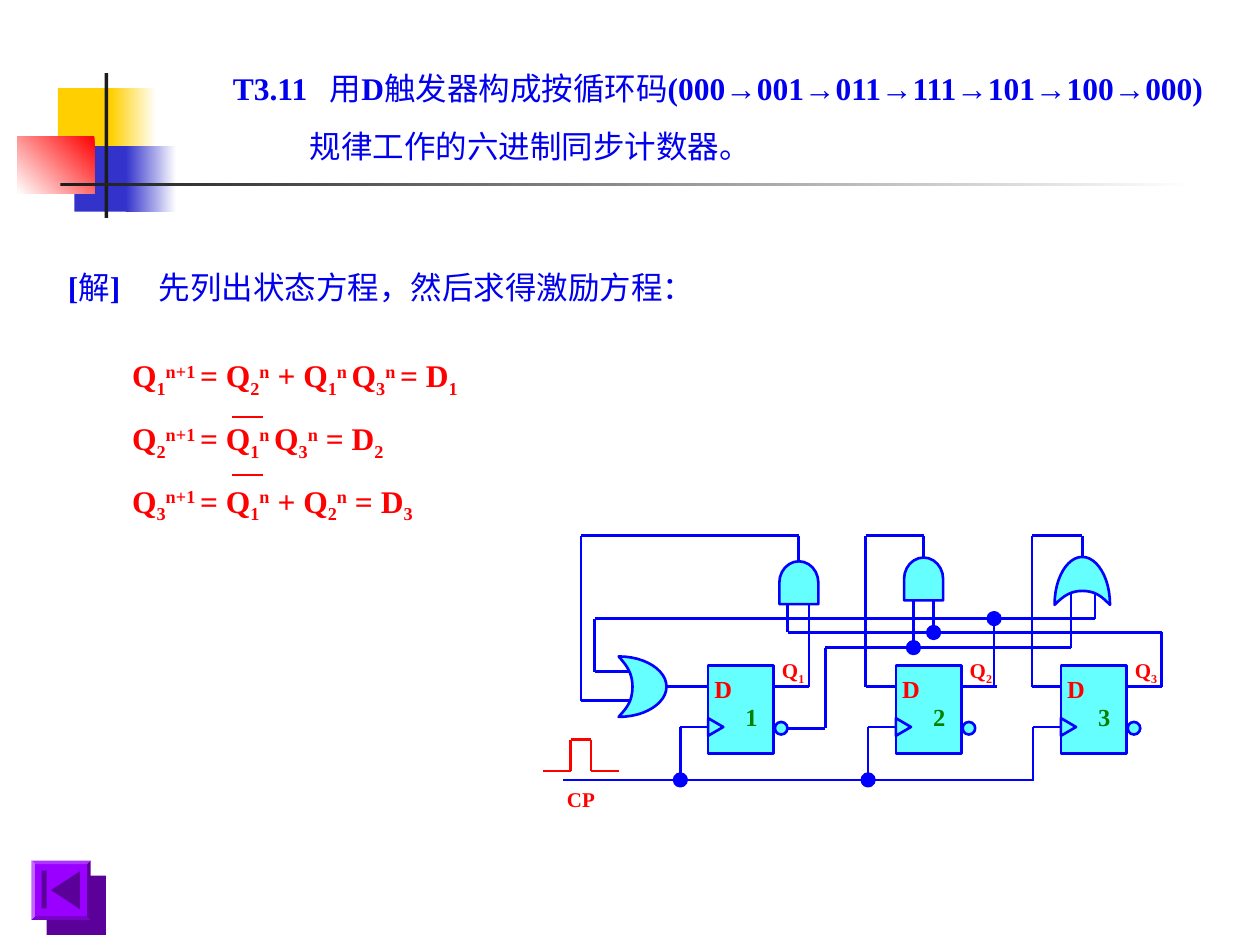
from itertools import pairwise

from lxml import etree
from pptx import Presentation
from pptx.dml.color import RGBColor
from pptx.enum.shapes import MSO_CONNECTOR, MSO_SHAPE as SHAPE
from pptx.enum.text import PP_ALIGN as ALIGN
from pptx.oxml.ns import qn
from pptx.util import Inches, Pt

COLORS = {
    "yellow": "FFCF01", "indigo": "3333CC", "red": "FF0000", "black": "1C1C1C",
    "white": "FFFFFF", "text": "0000EE", "wire": "0000FF", "gate": "66FFFF",
    "number": "008000", "button": "9900FF", "button_dark": "5B0098",
}
FONT = "Times New Roman"
BASELINES = {"_": "-25000", "^": "30000"}
EQUATIONS = [
    "Q|_1|^n+1 |= Q|_2|^n| + Q|_1|^n |Q|_3|^n |= D|_1",
    "Q|_2|^n+1 |= Q|_1|^n |Q|_3|^n| = D|_2",
    "Q|_3|^n+1 |= Q|_1|^n| + Q|_2|^n| = D|_3",
]
# Outline of an OR gate pointing right, as Bezier curves in a unit box
OR_CURVES = [
    [(0, 1), (0.13, 0.88), (0.29, 0.77), (0.29, 0.5)],
    [(0.29, 0.5), (0.29, 0.25), (0.13, 0.12), (0, 0)],
    [(0, 0), (0.56, 0), (1, 0.23), (1, 0.5)],
    [(1, 0.5), (1, 0.77), (0.56, 1), (0, 1)],
]


def rgb(name):
    return RGBColor.from_string(COLORS[name])


def paint(shape, fill, line=None):
    shape.shadow.inherit = False
    shape.fill.solid()
    shape.fill.fore_color.rgb = rgb(fill)
    if line:
        shape.line.color.rgb = rgb(line)
        shape.line.width = Pt(1.5)
    else:
        shape.line.fill.background()


def add_shape(slide, kind, x, y, width, height, fill, line=None, rotation=0):
    shape = slide.shapes.add_shape(
        kind, Inches(x), Inches(y), Inches(width), Inches(height))
    shape.rotation = rotation
    paint(shape, fill, line)
    return shape


def add_fade(slide, x, y, width, height, color, angle=0):
    shape = add_shape(slide, SHAPE.RECTANGLE, x, y, width, height, color)
    shape.fill.gradient()
    shape.fill.gradient_angle = angle
    for stop, name in zip(shape.fill.gradient_stops, (color, "white")):
        stop.color.rgb = rgb(name)


def add_route(slide, x, y, points, color="wire", width=1.5):
    """Join the points, given relative to (x, y), with straight lines."""
    for (x1, y1), (x2, y2) in pairwise(points):
        line = slide.shapes.add_connector(
            MSO_CONNECTOR.STRAIGHT, Inches(x + x1), Inches(y + y1),
            Inches(x + x2), Inches(y + y2))
        line.line.color.rgb = rgb(color)
        line.line.width = Pt(width)
        etree.SubElement(line._element.spPr, qn("a:effectLst"))


def add_text(slide, x, y, width, height, lines, color, size=18,
             align=ALIGN.LEFT, tab=None, hanging=0):
    """Split runs at |; a leading _ or ^ lowers or raises, ~ is not bold."""
    frame = slide.shapes.add_textbox(
        Inches(x), Inches(y), Inches(width), Inches(height)).text_frame
    frame.word_wrap = True
    for index, line in enumerate(lines):
        paragraph = frame.add_paragraph() if index else frame.paragraphs[0]
        paragraph.alignment = align
        properties = paragraph._p.get_or_add_pPr()
        if index:
            paragraph.space_before = Pt(11.2)
            properties.set("marL", str(Inches(hanging)))
        if tab:
            stops = etree.SubElement(properties, qn("a:tabLst"))
            etree.SubElement(stops, qn("a:tab"), pos=str(Inches(tab)), algn="l")
        font = paragraph.font
        font.name, font.size, font.bold = FONT, Pt(size), True
        font.color.rgb = rgb(color)
        for part in line.split("|"):
            run = paragraph.add_run()
            run.text = part.lstrip("_^~")
            if part[0] in BASELINES:
                run._r.get_or_add_rPr().set("baseline", BASELINES[part[0]])
            elif part[0] == "~":
                run.font.bold = False


def add_label(slide, x, y, width, text, color, size):
    add_text(slide, x, y, width, 0.33, [text], color, size, ALIGN.CENTER)


def add_ornament(slide, x, y):
    add_shape(slide, SHAPE.RECTANGLE, x + 0.32, y + 0.12, 0.48, 0.52, "yellow")
    add_fade(slide, x + 0.74, y + 0.12, 0.36, 0.52, "yellow")
    add_shape(slide, SHAPE.RECTANGLE, x + 0.45, y + 0.58, 0.46, 0.52, "indigo")
    add_fade(slide, x + 0.86, y + 0.58, 0.4, 0.52, "indigo")
    add_fade(slide, x, y + 0.5, 0.61, 0.46, "red", 225)
    add_shape(slide, SHAPE.RECTANGLE, x + 0.69, y, 0.03, 1.15, "black")
    add_fade(slide, x + 0.34, y + 0.87, 9, 0.03, "black")


def add_equations(slide, x, y):
    add_text(slide, x, y, 3.09, 1.44, EQUATIONS, "red")
    for bar_y in (0.53, 0.99):
        add_route(slide, x, y, [(0.89, bar_y), (1.14, bar_y)], "red", 1)


def add_or_gate(slide, x, y, width, height, upward=False):
    points = []
    for curve in OR_CURVES:
        for step in range(12):
            t = step / 12
            weights = ((1 - t) ** 3, 3 * t * (1 - t) ** 2, 3 * t * t * (1 - t), t ** 3)
            u, v = (sum(w * p[axis] for w, p in zip(weights, curve)) for axis in (0, 1))
            if upward:
                u, v = v, 1 - u
            points.append((Inches(x + u * width), Inches(y + v * height)))
    builder = slide.shapes.build_freeform(*points[0])
    builder.add_line_segments(points[1:], close=True)
    paint(builder.convert_to_shape(), "gate", "wire")


def add_flip_flop(slide, x, y, number):
    add_route(slide, x, y, [(0.5, 0.17), (0.8, 0.17)])
    add_route(slide, x, y, [(0, 0.49), (-0.22, 0.49), (-0.22, 0.92)])
    add_shape(slide, SHAPE.RECTANGLE, x, y, 0.52, 0.7, "gate", "wire")
    add_shape(slide, SHAPE.ISOSCELES_TRIANGLE, x - 0.01, y + 0.43, 0.14, 0.12,
              "gate", "wire", 90)
    add_shape(slide, SHAPE.OVAL, x + 0.53, y + 0.45, 0.1, 0.1, "gate", "wire")
    add_label(slide, x - 0.09, y + 0.02, 0.42, "D", "red", 14)
    add_label(slide, x + 0.19, y + 0.24, 0.31, str(number), "number", 14)
    add_label(slide, x + 0.45, y - 0.11, 0.45, f"Q|_{number}", "red", 12)


def add_circuit(slide, x, y):
    feedback, bus_2, bus_3, bus_1, data, clock = 0, 0.66, 0.77, 0.89, 1.2, 1.94
    routes = [
        [(2.11, data), (2.11, 0.55)],
        [(3.58, data), (3.58, bus_2)],
        [(4.91, data), (4.91, bus_3), (1.94, bus_3), (1.94, 0.55)],
        [(1.94, 1.53), (2.24, 1.53), (2.24, bus_1), (4.19, bus_1), (4.19, 0.44)],
        [(4.38, 0.45), (4.38, bus_2), (0.41, bus_2), (0.41, 1.08), (0.69, 1.08)],
        [(3.1, 0.52), (3.1, bus_3)],
        [(2.94, 0.52), (2.94, bus_1)],
        [(0.97, data), (1.31, data)],
        [(0.71, 1.31), (0.3, 1.31), (0.3, feedback), (2.03, feedback), (2.03, 0.2)],
        [(2.8, data), (2.56, data), (2.56, feedback), (3.02, feedback), (3.02, 0.19)],
        [(4.11, data), (3.88, data), (3.88, feedback), (4.28, feedback), (4.28, 0.17)],
        [(3.89, clock), (0.16, clock)],
    ]
    for route in routes:
        add_route(slide, x, y, route)
    for number, left in enumerate((1.31, 2.8, 4.11), 1):
        add_flip_flop(slide, x + left, y + 1.03, number)
    for left, top in ((1.86, 0.22), (2.85, 0.19)):
        add_shape(slide, SHAPE.FLOWCHART_DELAY, x + left, y + top, 0.34, 0.31,
                  "gate", "wire", 270)
    add_or_gate(slide, x + 0.6, y + 0.96, 0.38, 0.48)
    add_or_gate(slide, x + 4.06, y + 0.17, 0.44, 0.38, upward=True)
    for dot_x, dot_y in ((1.09, clock), (2.58, clock), (2.94, bus_1),
                         (3.1, bus_3), (3.58, bus_2)):
        add_shape(slide, SHAPE.OVAL, x + dot_x - 0.05, y + dot_y - 0.05,
                  0.1, 0.1, "wire", "wire")
    add_route(slide, x, y, [(0, 1.87), (0.22, 1.87), (0.22, 1.62), (0.38, 1.62),
                            (0.38, 1.87), (0.6, 1.87)], "red")
    add_label(slide, x + 0.06, y + clock, 0.48, "CP", "red", 12)


def add_return_button(slide, x, y):
    add_shape(slide, SHAPE.RECTANGLE, x + 0.12, y + 0.12, 0.47, 0.47, "button_dark")
    bevel = add_shape(slide, SHAPE.BEVEL, x, y, 0.47, 0.47, "button")
    bevel.adjustments[0] = 0.06
    add_shape(slide, SHAPE.ISOSCELES_TRIANGLE, x + 0.12, y + 0.12, 0.3, 0.23,
              "button_dark", rotation=270)
    add_shape(slide, SHAPE.RECTANGLE, x + 0.08, y + 0.08, 0.04, 0.3, "button_dark")


def main():
    presentation = Presentation()
    presentation.slide_width, presentation.slide_height = Inches(10), Inches(7.5)
    slide = presentation.slides.add_slide(presentation.slide_layouts[6])
    add_ornament(slide, 0.14, 0.58)
    add_text(slide, 1.75, 0.5, 8.25, 0.86, [
        "T3.11\t|~用|D|~触发器构成按循环码|(000→001→011→111→101→100→000)",
        "~规律工作的六进制同步计数器。"], "text", tab=0.77, hanging=0.61)
    add_text(slide, 0.44, 2.08, 5.42, 0.4,
             ["[|~解|]\t|~先列出状态方程，然后求得激励方程："], "text", tab=0.72)
    add_circuit(slide, 4.31, 4.25)
    add_equations(slide, 0.95, 2.78)
    add_return_button(slide, 0.25, 6.83)
    presentation.save("out.pptx")


if __name__ == "__main__":
    main()
